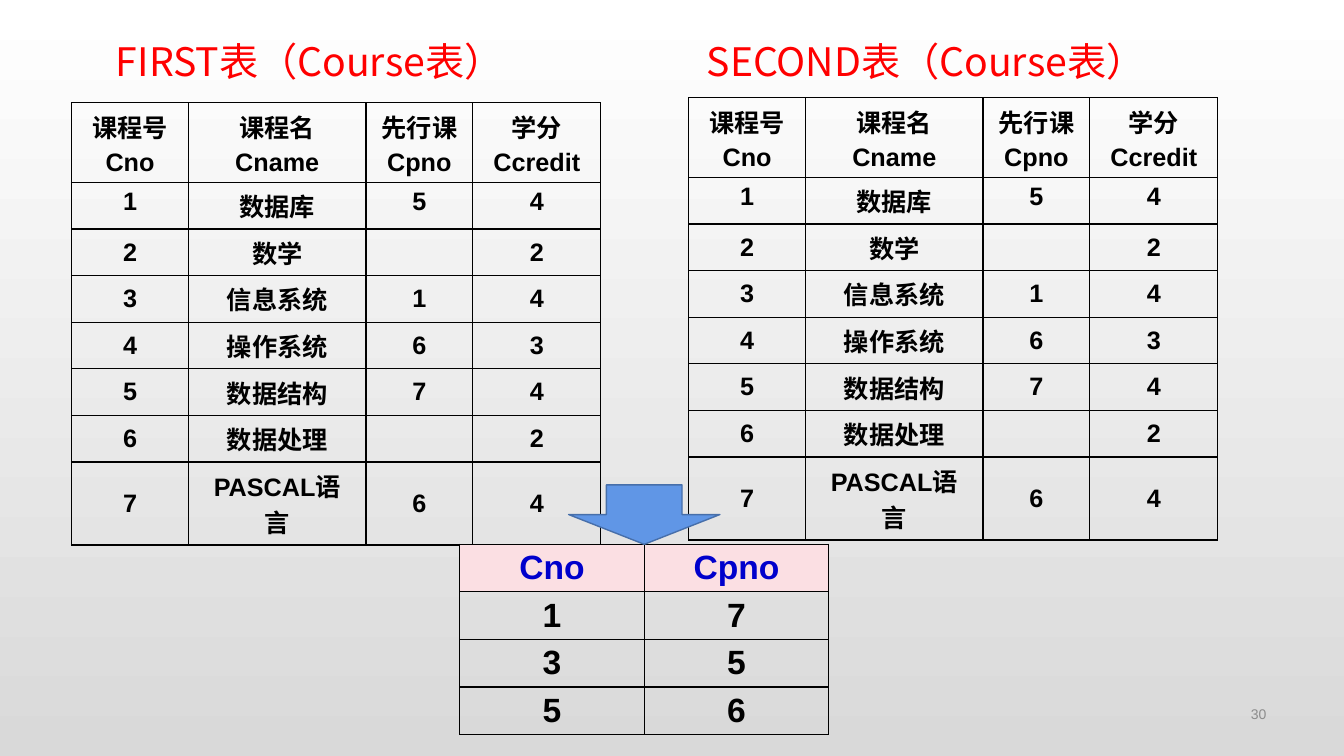
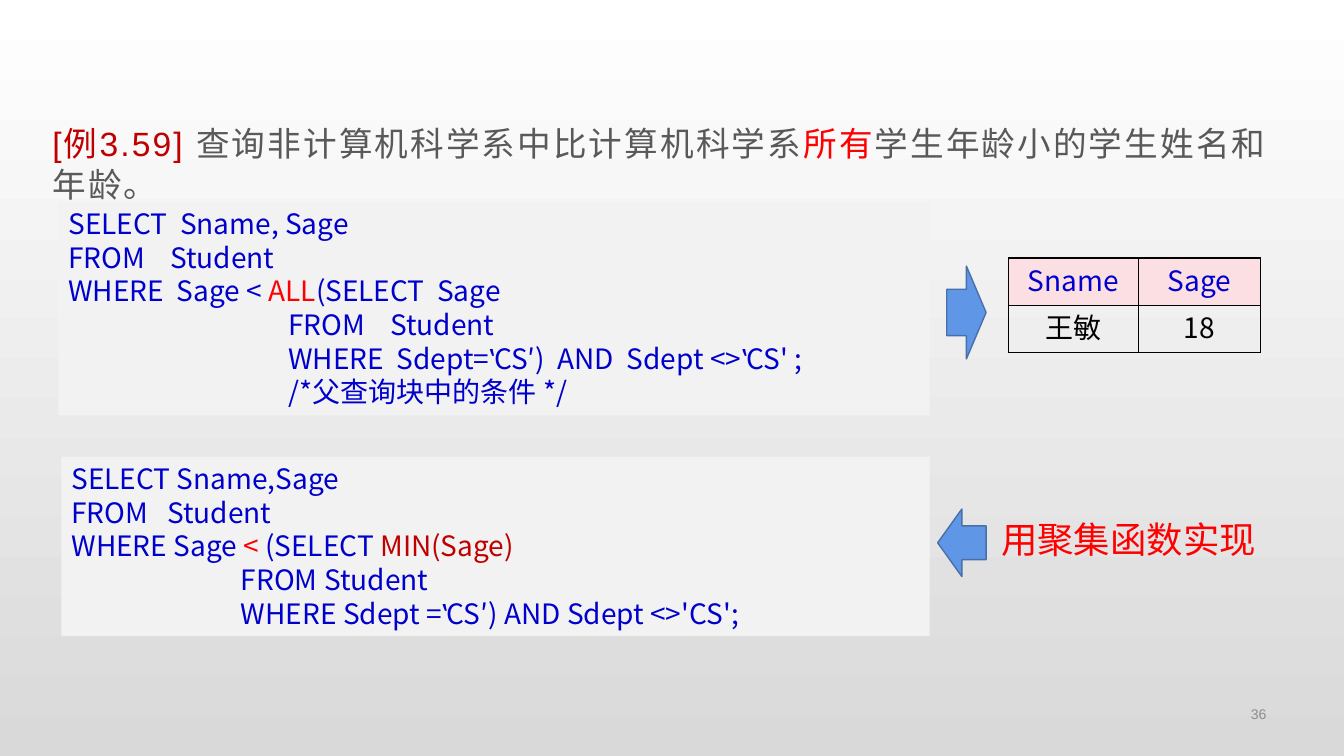
from dataclasses import dataclass
from typing import NamedTuple

from lxml import etree
from pptx import Presentation
from pptx.dml.color import RGBColor
from pptx.enum.shapes import MSO_SHAPE
from pptx.enum.text import MSO_ANCHOR, MSO_AUTO_SIZE, PP_ALIGN
from pptx.oxml.ns import qn
from pptx.util import Pt

RECTANGLE = MSO_SHAPE.RECTANGLE
DOWN_ARROW = MSO_SHAPE.DOWN_ARROW
LEFT_ARROW = MSO_SHAPE.LEFT_ARROW
RIGHT_ARROW = MSO_SHAPE.RIGHT_ARROW
TOP, MIDDLE = MSO_ANCHOR.TOP, MSO_ANCHOR.MIDDLE
LEFT, CENTER, RIGHT = PP_ALIGN.LEFT, PP_ALIGN.CENTER, PP_ALIGN.RIGHT
NO_AUTO_SIZE = MSO_AUTO_SIZE.NONE

EMU_PER_PX = 9144
SLIDE_WIDTH, SLIDE_HEIGHT = 1333, 750
TITLE_ONLY = 5


@dataclass(frozen=True)
class Theme:
    background_top: str = "FFFFFF"
    background_bottom: str = "D9D9D9"
    black: str = "000000"
    red: str = "FF0000"
    dark_red: str = "C00000"
    blue: str = "0000CC"
    body: str = "595959"
    number: str = "8C8C8C"
    header_fill: str = "FBDFE3"
    code_fill: str = "F2F2F2"
    arrow_fill: str = "6096E6"
    arrow_line: str = "476FAA"
    latin: str = "Arial"
    cjk: str = "Noto Sans CJK SC"
    heading_size: int = 28
    remark_size: int = 26
    statement_size: int = 24
    code_size: int = 20
    table_size: int = 18
    number_size: int = 10
    border_width: int = 1


THEME = Theme()


class Box(NamedTuple):
    left: int
    top: int
    width: int
    height: int


class Style(NamedTuple):
    font: str
    size: int
    color: str
    bold: bool = False
    align: PP_ALIGN = LEFT
    line_points: int | None = None


class Span(NamedTuple):
    text: str
    color: str | None = None


Line = tuple[Span, ...]


@dataclass(frozen=True)
class TableSpec:
    left: int
    top: int
    columns: tuple[int, ...]
    rows: tuple[int, ...]
    cells: tuple[tuple[str, ...], ...]
    style: Style
    header_color: str = THEME.black
    header_fill: str | None = None
    top_rows: int = 2


@dataclass(frozen=True)
class CodeSpec:
    box: Box
    lines: tuple[Line, ...]


@dataclass(frozen=True)
class ArrowSpec:
    kind: MSO_SHAPE
    box: Box


HEADING = Style(THEME.cjk, THEME.heading_size, THEME.red)
STATEMENT = Style(THEME.latin, THEME.statement_size, THEME.body, line_points=29)
CODE = Style(THEME.cjk, THEME.code_size, THEME.blue, line_points=24)
REMARK = Style(THEME.cjk, THEME.remark_size, THEME.red, align=CENTER)
NUMBER = Style(THEME.latin, THEME.number_size, THEME.number, align=RIGHT)
COURSE_CELL = Style(THEME.latin, THEME.table_size, THEME.black, True, CENTER)
PAIR_CELL = Style(THEME.latin, THEME.statement_size, THEME.black, True, CENTER)
RESULT_CELL = Style(THEME.cjk, THEME.code_size, THEME.black, False, CENTER, 26)

NUMBER_BOX = Box(971, 691, 295, 35)
HEADING_BOX = Box(105, 10, 1105, 100)
SECOND_HEADING_TAB = 586
STATEMENT_BOX = Box(42, 117, 1258, 83)

COURSES = (
    ("课程号\nCno", "课程名\nCname", "先行课\nCpno", "学分\nCcredit"),
    ("1", "数据库", "5", "4"),
    ("2", "数学", "", "2"),
    ("3", "信息系统", "1", "4"),
    ("4", "操作系统", "6", "3"),
    ("5", "数据结构", "7", "4"),
    ("6", "数据处理", "", "2"),
    ("7", "PASCAL语言", "6", "4"),
)
COURSE_TABLES = tuple(
    TableSpec(left, top, (116, 176, 106, 127), (79, *[46] * 6, 82), COURSES, COURSE_CELL)
    for left, top in ((71, 102), (683, 97))
)
PAIR_TABLE = TableSpec(
    456, 540, (183, 183), (47,) * 4,
    (("Cno", "Cpno"), ("1", "7"), ("3", "5"), ("5", "6")),
    PAIR_CELL, THEME.blue, THEME.header_fill, 4,
)
RESULT_TABLE = TableSpec(
    1000, 256, (129, 121), (47, 47), (("Sname", "Sage"), ("王敏", "18")),
    RESULT_CELL, THEME.blue, THEME.header_fill,
)

STATEMENT_LINE = (
    Span("[例3.59] ", THEME.dark_red),
    Span("查询非计算机科学系中比计算机科学系"),
    Span("所有", THEME.red),
    Span("学生年龄小的学生姓名和年龄。"),
)
CODE_BLOCKS = (
    CodeSpec(Box(58, 200, 864, 212), (
        (Span("SELECT  Sname, Sage"),),
        (Span("FROM    Student"),),
        (Span("WHERE  Sage < "), Span("ALL", THEME.red), Span("(SELECT  Sage")),
        (Span("                                   FROM    Student"),),
        (Span("                                   WHERE  Sdept=‛CS′)  AND  Sdept <>‛CS' ;"),),
        (Span("                                   /*父查询块中的条件 */"),),
    )),
    CodeSpec(Box(61, 453, 861, 178), (
        (Span("SELECT Sname,Sage"),),
        (Span("FROM   Student"),),
        (Span("WHERE Sage "), Span("< ", THEME.red), Span("(SELECT "),
         Span("MIN(Sage)", THEME.dark_red)),
        (Span("                           FROM Student"),),
        (Span("                           WHERE Sdept =‛CS′) AND Sdept <>'CS';"),),
    )),
)
MERGE_ARROW = ArrowSpec(DOWN_ARROW, Box(564, 481, 150, 59))
QUERY_ARROWS = (
    ArrowSpec(RIGHT_ARROW, Box(939, 264, 39, 92)),
    ArrowSpec(LEFT_ARROW, Box(930, 505, 48, 67)),
)


def px(length: int) -> int:
    return length * EMU_PER_PX


def emu(box: Box) -> tuple[int, ...]:
    return tuple(px(length) for length in box)


def rgb(color: str) -> RGBColor:
    return RGBColor.from_string(color)


def format_paragraph(paragraph, style: Style) -> None:
    paragraph.alignment = style.align
    if style.line_points:
        paragraph.line_spacing = Pt(style.line_points)
    font = paragraph.font
    font.name, font.size, font.bold = style.font, Pt(style.size), style.bold
    font.color.rgb = rgb(style.color)


def write_lines(frame, lines: tuple[Line, ...], style: Style) -> None:
    for index, line in enumerate(lines):
        paragraph = frame.add_paragraph() if index else frame.paragraphs[0]
        for span in line:
            run = paragraph.add_run()
            run.text = span.text
            if span.color:
                run.font.color.rgb = rgb(span.color)
        format_paragraph(paragraph, style)


def prepare_frame(shape, anchor: MSO_ANCHOR):
    frame = shape.text_frame
    frame.word_wrap = True
    frame.auto_size = NO_AUTO_SIZE
    frame.vertical_anchor = anchor
    return frame


def add_text(slide, box: Box, text: str, style: Style) -> None:
    shape = slide.shapes.add_textbox(*emu(box))
    write_lines(prepare_frame(shape, MIDDLE), ((Span(text),),), style)


def place_title(slide, box: Box, anchor: MSO_ANCHOR):
    title = slide.shapes.title
    title.left, title.top, title.width, title.height = emu(box)
    return prepare_frame(title, anchor)


def add_border(cell) -> None:
    properties = cell._tc.get_or_add_tcPr()
    for side in ("a:lnL", "a:lnR", "a:lnT", "a:lnB"):
        line = etree.SubElement(properties, qn(side), w=str(Pt(THEME.border_width)))
        fill = etree.SubElement(line, qn("a:solidFill"))
        etree.SubElement(fill, qn("a:srgbClr"), val=THEME.black)


def fill_cell(cell, spec: TableSpec, row: int, text: str) -> None:
    add_border(cell)
    if row == 0 and spec.header_fill:
        cell.fill.solid()
        cell.fill.fore_color.rgb = rgb(spec.header_fill)
    else:
        cell.fill.background()
    cell.margin_left = cell.margin_right = px(13)
    cell.margin_top = cell.margin_bottom = px(5)
    cell.vertical_anchor = TOP if row < spec.top_rows else MIDDLE
    style = spec.style if row else spec.style._replace(color=spec.header_color)
    lines = tuple((Span(part),) for part in text.split("\n")) if text else ((),)
    write_lines(cell.text_frame, lines, style)
    for paragraph in cell.text_frame.paragraphs[1:]:
        paragraph.space_before = Pt(3)


def add_table(slide, spec: TableSpec) -> None:
    box = Box(spec.left, spec.top, sum(spec.columns), sum(spec.rows))
    table = slide.shapes.add_table(len(spec.rows), len(spec.columns), *emu(box)).table
    table.horz_banding = False
    for column, width in zip(table.columns, spec.columns):
        column.width = px(width)
    for row, height in enumerate(spec.rows):
        table.rows[row].height = px(height)
        for column, text in enumerate(spec.cells[row]):
            fill_cell(table.cell(row, column), spec, row, text)


def add_filled_shape(slide, kind: MSO_SHAPE, box: Box, color: str):
    shape = slide.shapes.add_shape(kind, *emu(box))
    shape.shadow.inherit = False
    shape.fill.solid()
    shape.fill.fore_color.rgb = rgb(color)
    return shape


def add_arrow(slide, spec: ArrowSpec) -> None:
    arrow = add_filled_shape(slide, spec.kind, spec.box, THEME.arrow_fill)
    arrow.line.color.rgb = rgb(THEME.arrow_line)
    arrow.line.width = Pt(THEME.border_width)


def add_code(slide, spec: CodeSpec) -> None:
    panel = add_filled_shape(slide, RECTANGLE, spec.box, THEME.code_fill)
    panel.line.fill.background()
    write_lines(prepare_frame(panel, TOP), spec.lines, CODE)


def paint_background(presentation) -> None:
    fill = presentation.slide_master.background.fill
    fill.gradient()
    fill.gradient_angle = 270
    for stop, color in zip(fill.gradient_stops, (THEME.background_top, THEME.background_bottom)):
        stop.color.rgb = rgb(color)


def add_slide(presentation, number: int):
    slide = presentation.slides.add_slide(presentation.slide_layouts[TITLE_ONLY])
    add_text(slide, NUMBER_BOX, str(number), NUMBER)
    return slide


def build_join_slide(presentation) -> None:
    slide = add_slide(presentation, 30)
    frame = place_title(slide, HEADING_BOX, MIDDLE)
    properties = frame.paragraphs[0]._p.get_or_add_pPr()
    tabs = etree.SubElement(properties, qn("a:tabLst"))
    etree.SubElement(tabs, qn("a:tab"), pos=str(px(SECOND_HEADING_TAB)), algn="l")
    write_lines(frame, ((Span("FIRST表（Course表）\tSECOND表（Course表）"),),), HEADING)
    for spec in (*COURSE_TABLES, PAIR_TABLE):
        add_table(slide, spec)
    add_arrow(slide, MERGE_ARROW)


def build_query_slide(presentation) -> None:
    slide = add_slide(presentation, 36)
    frame = place_title(slide, STATEMENT_BOX, TOP)
    write_lines(frame, (STATEMENT_LINE,), STATEMENT)
    frame.paragraphs[0].font._rPr.set("spc", "150")
    for block in CODE_BLOCKS:
        add_code(slide, block)
    add_table(slide, RESULT_TABLE)
    add_text(slide, Box(978, 508, 283, 54), "用聚集函数实现", REMARK)
    for arrow in QUERY_ARROWS:
        add_arrow(slide, arrow)


def main() -> None:
    presentation = Presentation()
    presentation.slide_width, presentation.slide_height = px(SLIDE_WIDTH), px(SLIDE_HEIGHT)
    paint_background(presentation)
    build_join_slide(presentation)
    build_query_slide(presentation)
    presentation.save("out.pptx")


if __name__ == "__main__":
    main()
